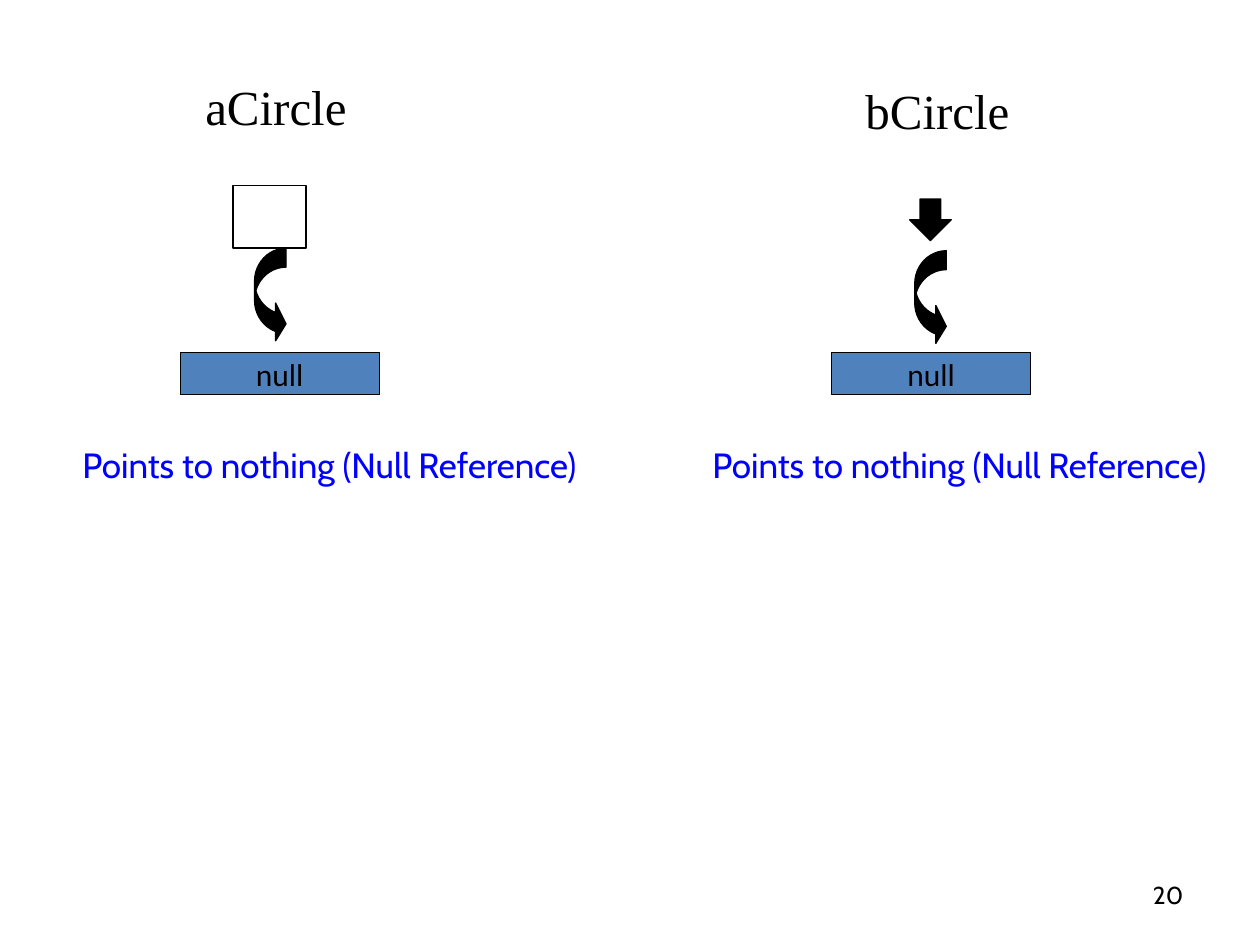
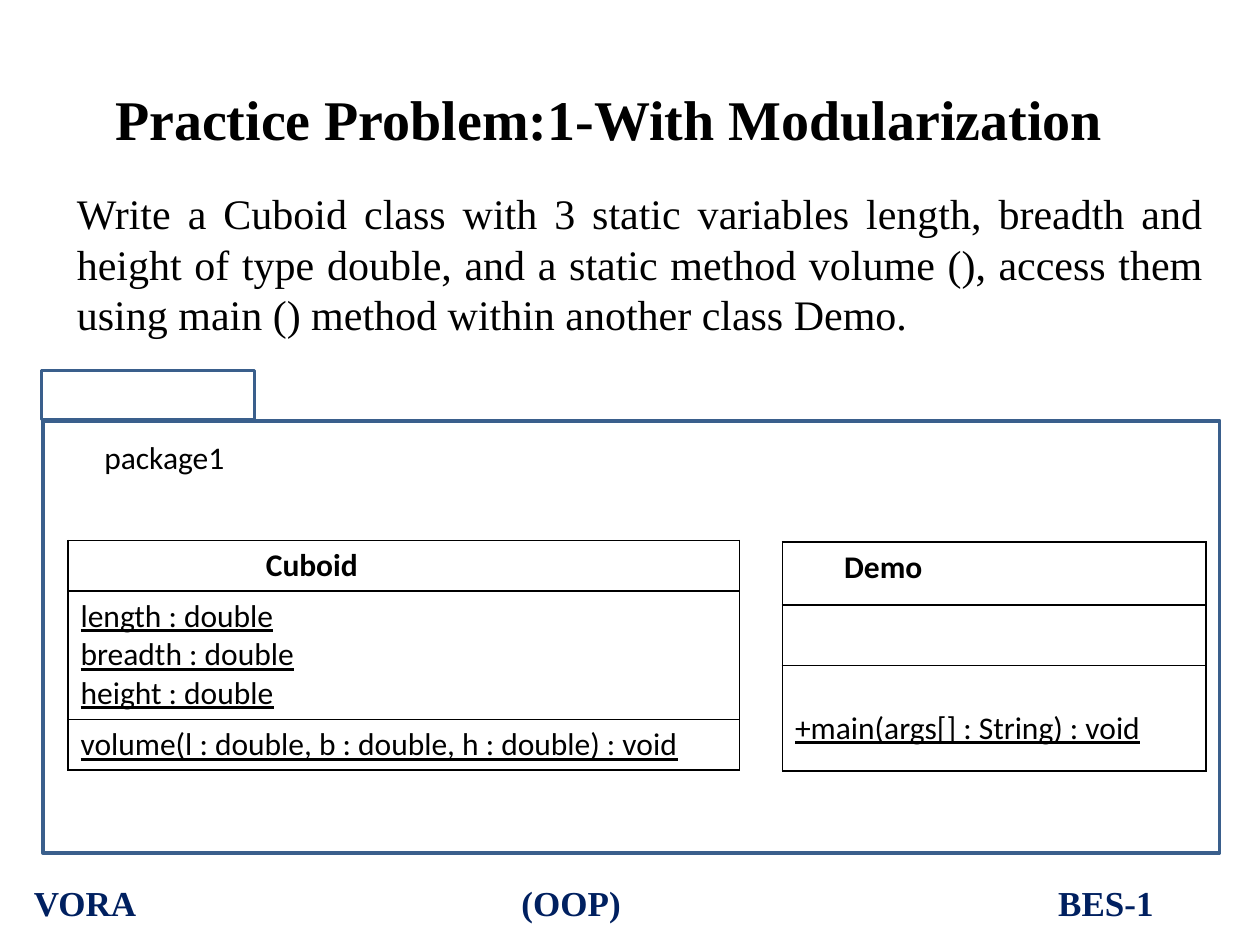
from dataclasses import dataclass
from typing import NamedTuple

from lxml.etree import SubElement
from pptx import Presentation
from pptx.dml.color import RGBColor
from pptx.enum.shapes import MSO_SHAPE
from pptx.enum.text import MSO_ANCHOR, PP_ALIGN
from pptx.oxml.ns import qn
from pptx.util import Emu, Inches, Pt

COLS, ROWS = 100, 75
UNIT = Inches(0.1)
BLACK, WHITE, BLUE = "000000", "FFFFFF", "0000FF"
NAVY, FRAME, STEEL = "002060", "3A5F8C", "4F81BD"
SERIF, SANS, ROUND = "Times New Roman", "Calibri", "Cabin"


class Box(NamedTuple):
    col: float
    row: float
    cols: float
    rows: float

    def emu(self) -> list[Emu]:
        return [Emu(round(v * UNIT)) for v in self]


@dataclass(frozen=True)
class Reference:
    name: str
    label: Box
    source: Box
    source_shape: MSO_SHAPE
    source_fill: str
    arrow: Box
    target_col: float
    note_col: float


@dataclass(frozen=True)
class Row:
    text: str
    rows: float
    bold: bool = False
    left: float = 1
    top: float = 0.5


@dataclass(frozen=True)
class ClassDiagram:
    box: Box
    rows: tuple[Row, ...]


REFERENCES = (
    Reference("aCircle", Box(15.3, 5.6, 13.2, 5.7), Box(18.5, 14.7, 5.8, 5),
              MSO_SHAPE.RECTANGLE, WHITE, Box(20.2, 19.7, 2.5, 7.5), 14.3, 4.3),
    Reference("bCircle", Box(67.7, 5.9, 13.4, 5.7), Box(72.2, 15.8, 3.3, 3.3),
              MSO_SHAPE.DOWN_ARROW, BLACK, Box(72.6, 19.9, 2.5, 7.5), 66, 54.3),
)

DIAGRAMS = (
    ClassDiagram(Box(5.4, 42.9, 53.3, 18.2), (
        Row("Cuboid", 4, bold=True, left=15.7),
        Row("length : double\nbreadth : double\nheight : double", 10.2),
        Row("volume(l : double, b : double, h : double) : void", 4),
    )),
    ClassDiagram(Box(62.1, 43, 33.6, 18.2), (
        Row("Demo", 5, bold=True, left=4.9),
        Row("", 4.8),
        Row("+main(args[] : String) : void", 8.4, top=3.5),
    )),
)


def rgb(value: str) -> RGBColor:
    return RGBColor.from_string(value)


def write(tf, text: str, *, size: float = 18, font: str = SANS, color: str = BLACK,
          bold: bool = False, underline: bool = False, align=PP_ALIGN.LEFT,
          anchor=MSO_ANCHOR.TOP, wrap: bool = True) -> None:
    tf.word_wrap = wrap
    tf.vertical_anchor = anchor
    for i, line in enumerate(text.split("\n")):
        p = tf.add_paragraph() if i else tf.paragraphs[0]
        p.alignment = align
        r = p.add_run()
        r.text = line
        r.font.size = Pt(size)
        r.font.name = font
        r.font.color.rgb = rgb(color)
        r.font.bold = bold
        r.font.underline = underline


def add_text(s, box: Box, text: str, **fmt):
    sp = s.shapes.add_textbox(*box.emu())
    write(sp.text_frame, text, **fmt)
    return sp


def add_shape(s, kind: MSO_SHAPE, box: Box, fill: str | None = None,
              line: str = BLACK, weight: float = 0.75):
    sp = s.shapes.add_shape(kind, *box.emu())
    sp.shadow.inherit = False
    if fill:
        sp.fill.solid()
        sp.fill.fore_color.rgb = rgb(fill)
    else:
        sp.fill.background()
    sp.line.color.rgb = rgb(line)
    sp.line.width = Pt(weight)
    return sp


def fill_placeholder(sp, box: Box, text: str, **fmt) -> None:
    sp.left, sp.top, sp.width, sp.height = box.emu()
    write(sp.text_frame, text, font=SERIF, **fmt)


def clear_bullet(p) -> None:
    pPr = p._p.get_or_add_pPr()
    pPr.set("marL", "0")
    pPr.set("indent", "0")
    SubElement(pPr, qn("a:buNone"))


def set_tabs(p, *stops: float) -> None:
    tabs = SubElement(p._p.get_or_add_pPr(), qn("a:tabLst"))
    for stop in stops:
        SubElement(tabs, qn("a:tab"), pos=str(round(stop * UNIT)), algn="l")


def border(cell) -> None:
    tcPr = cell._tc.get_or_add_tcPr()
    for i, side in enumerate(("lnL", "lnR", "lnT", "lnB")):
        ln = tcPr.makeelement(qn(f"a:{side}"), {"w": str(Pt(1))})
        fill = SubElement(ln, qn("a:solidFill"))
        SubElement(fill, qn("a:srgbClr"), val=BLACK)
        tcPr.insert(i, ln)


def add_diagram(s, diagram: ClassDiagram) -> None:
    table = s.shapes.add_table(len(diagram.rows), 1, *diagram.box.emu()).table
    table.first_row = table.horz_banding = False
    for i, row in enumerate(diagram.rows):
        table.rows[i].height = Emu(round(row.rows * UNIT))
        cell = table.cell(i, 0)
        cell.fill.background()
        cell.margin_left = Emu(round(row.left * UNIT))
        cell.margin_top = Emu(round(row.top * UNIT))
        if row.text:
            write(cell.text_frame, row.text, bold=row.bold, underline=not row.bold)
        border(cell)


def add_reference(s, ref: Reference) -> None:
    centred = {"align": PP_ALIGN.CENTER, "wrap": False}
    add_text(s, ref.label, ref.name, size=28, font=SERIF, **centred)
    add_shape(s, ref.source_shape, ref.source, ref.source_fill)
    arrow = add_shape(s, MSO_SHAPE.CURVED_RIGHT_ARROW, ref.arrow, BLACK)
    for i, value in enumerate((0.6, 1.2, 0.33)):
        arrow.adjustments[i] = value
    target = add_shape(s, MSO_SHAPE.RECTANGLE, Box(ref.target_col, 28, 15.8, 3.3), STEEL)
    write(target.text_frame, "null", anchor=MSO_ANCHOR.MIDDLE, **centred)
    add_text(s, Box(ref.note_col, 34.7, 43.7, 4.3), "Points to nothing (Null Reference)",
             size=20, font=ROUND, color=BLUE, **centred)


def build_references(prs) -> None:
    s = prs.slides.add_slide(prs.slide_layouts[6])
    for ref in REFERENCES:
        add_reference(s, ref)
    add_text(s, Box(90.2, 69, 4.7, 4), "20", size=14, font=ROUND,
             align=PP_ALIGN.RIGHT, anchor=MSO_ANCHOR.MIDDLE)


def build_practice(prs) -> None:
    s = prs.slides.add_slide(prs.slide_layouts[1])
    fill_placeholder(s.shapes.title, Box(7.8, 3.9, 81.1, 11),
                     "Practice Problem:1-With Modularization", size=32, bold=True,
                     align=PP_ALIGN.CENTER, anchor=MSO_ANCHOR.MIDDLE)
    body = s.placeholders[1]
    fill_placeholder(body, Box(5.1, 14.4, 91.4, 14.6),
                     "Write a Cuboid class with 3 static variables length, breadth and height "
                     "of type double, and a static method volume (), access them using main () "
                     "method within another class Demo.", size=24, align=PP_ALIGN.JUSTIFY)
    clear_bullet(body.text_frame.paragraphs[0])
    footer = add_text(s, Box(1.7, 69, 95.4, 5.2), "VORA\t(OOP)\tBES-1", size=20, font=SERIF,
                      color=NAVY, bold=True, anchor=MSO_ANCHOR.MIDDLE)
    set_tabs(footer.text_frame.paragraphs[0], 38.7, 81.3)
    for diagram in DIAGRAMS:
        add_diagram(s, diagram)
    for box in (Box(3.4, 33.4, 93.4, 34.3), Box(3.3, 29.4, 16.9, 3.9)):
        add_shape(s, MSO_SHAPE.RECTANGLE, box, line=FRAME, weight=2)
    add_text(s, Box(7.3, 34.3, 14.6, 5), "package1")


def main() -> None:
    prs = Presentation()
    prs.slide_width, prs.slide_height = COLS * UNIT, ROWS * UNIT
    build_references(prs)
    build_practice(prs)
    prs.save("out.pptx")


if __name__ == "__main__":
    main()
